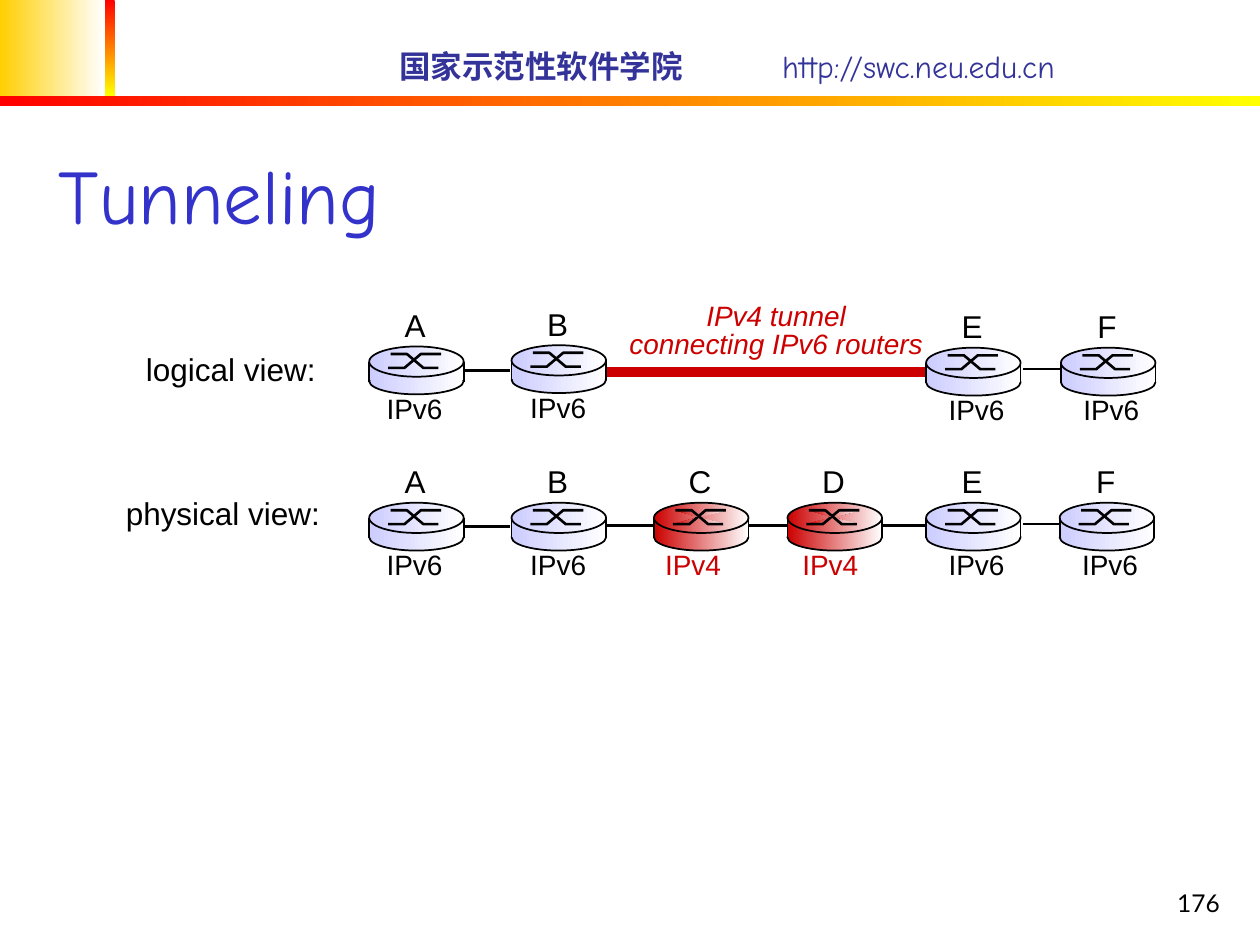
from lxml import etree
from pptx import Presentation
from pptx.dml.color import RGBColor
from pptx.enum import shapes, text
from pptx.oxml.ns import qn
from pptx.util import Inches, Pt

# Theme
THEME = dict(
    navy="333399", blue="3333CC", red="CC0000", pale="CCCCFF", gold="FFCF01",
    hot="FF0000", sun="FFFF00", white="FFFFFF", black="000000",
    sans="Arial", hand="Comic Neue", page="Lato",
    title=44, body=18, small=16, foot=14, thin=1, thick=1.5)

# Content: routers are (name, left, top, protocol, label shift)
LOGIC = [("A", 2.93, 2.75, "IPv6", -0.01), ("B", 4.06, 2.74, "IPv6", 0),
         ("E", 7.35, 2.76, "IPv6", 0.03), ("F", 8.42, 2.76, "IPv6", 0.03)]
PHYS = [("A", 2.93, 3.99, "IPv6", -0.01), ("B", 4.06, 3.99, "IPv6", 0),
        ("C", 5.19, 3.99, "IPv4", -0.06), ("D", 6.25, 3.99, "IPv4", -0.03),
        ("E", 7.35, 3.99, "IPv6", 0.03), ("F", 8.41, 3.99, "IPv6", 0.03)]
# Links are (left, right, height on the slide)
LINKS = [(3.69, 4.05, 2.94), (8.12, 8.48, 2.93),
         (3.69, 4.05, 4.18), (4.82, 7.36, 4.17), (8.12, 8.47, 4.16)]
VIEWS = [("logical view:", 1.06, 2.73, 1.55), ("physical view:", 0.9, 3.87, 1.74)]
TUNNEL = ["IPv4 tunnel", "connecting IPv6 routers"]
# Bands are (left, top, width, height, first, last, angle)
BANDS = [(0, 0, 0.83, 0.76, "gold", "white", 0),
         (0.83, 0, 0.08, 0.76, "hot", "sun", 270),
         (0, 0.76, 10, 0.08, "hot", "sun", 0)]
WIDE = 0.75
# Crossing strokes, relative to a router's corner
CROSS = [[(0.15, 0.17), (0.28, 0.17), (0.41, 0.06), (0.57, 0.06)],
         [(0.17, 0.06), (0.3, 0.06), (0.43, 0.17), (0.55, 0.17)]]

deck = Presentation()
deck.slide_width, deck.slide_height = Inches(10), Inches(7.5)
slide = deck.slides.add_slide(deck.slide_layouts[6])
parts = slide.shapes


def color(name):
    return RGBColor.from_string(THEME[name])


def blend(shape, first, last="white", angle=0):
    shape.fill.gradient()
    shape.fill.gradient_angle = angle
    for stop, name in zip(shape.fill.gradient_stops, (first, last)):
        stop.color.rgb = color(name)


def edge(shape, size):
    if size:
        shape.line.color.rgb = color("black")
        shape.line.width = Pt(size)
    else:
        shape.line.fill.background()


def block(kind, box, first, last="white", angle=0, line=0):
    shape = parts.add_shape(kind, *map(Inches, box))
    shape.shadow.inherit = False
    blend(shape, first, last, angle)
    edge(shape, line)
    return shape


def link(x1, y1, x2, y2, size):
    line = parts.add_connector(shapes.MSO_CONNECTOR.STRAIGHT,
                               *map(Inches, (x1, y1, x2, y2)))
    edge(line, size)
    etree.SubElement(line._element.spPr, qn("a:effectLst"))


def write(rows, box, size="body", face="sans", ink="black", align="LEFT",
          anchor="TOP", wrap=True, bold=(), italic=False, space=None, tab=None):
    """Each row is a list of runs; bold holds the indexes of bold runs."""
    frame = parts.add_textbox(*map(Inches, box)).text_frame
    frame.word_wrap = wrap
    frame.vertical_anchor = text.MSO_ANCHOR[anchor]
    for i, row in enumerate(rows):
        para = frame.add_paragraph() if i else frame.paragraphs[0]
        para.alignment = text.PP_ALIGN[align]
        if space:
            para.line_spacing = space
        if tab:
            tabs = etree.SubElement(para._p.get_or_add_pPr(), qn("a:tabLst"))
            etree.SubElement(tabs, qn("a:tab"), pos=str(Inches(tab)), algn="l")
        for j, words in enumerate(row):
            run = para.add_run()
            run.text = words
            font = run.font
            font.name, font.size = THEME[face], Pt(THEME[size])
            font.bold, font.italic = j in bold, italic
            font.color.rgb = color(ink)


def router(name, x, y, proto, shift):
    old = proto == "IPv4"
    tint = "red" if old else "pale"
    oval, rect = shapes.MSO_SHAPE.OVAL, shapes.MSO_SHAPE.RECTANGLE
    # Body: base, side and lid
    block(oval, (x, y + 0.17, WIDE, 0.21), tint, line=THEME["thin"])
    block(rect, (x, y + 0.14, WIDE, 0.13), tint)
    block(oval, (x, y, WIDE, 0.24), tint, line=THEME["thin"])
    # Crossing strokes
    for path in CROSS:
        dots = [(Inches(x + a), Inches(y + b)) for a, b in path]
        pen = parts.build_freeform(*dots[0])
        pen.add_line_segments(dots[1:], close=False)
        mark = pen.convert_to_shape()
        mark.shadow.inherit = False
        if old:
            blend(mark, tint)
        else:
            mark.fill.background()
        edge(mark, THEME["thick"])
    # Side edges
    for side in (x, x + WIDE):
        link(side, y + 0.12, side, y + 0.28, THEME["thin"])
    # Name above, protocol below
    mid = x + WIDE / 2
    write([[name]], (mid - 0.2, y - 0.37, 0.38, 0.4), align="CENTER", wrap=False)
    write([[proto]], (mid + shift - 0.33, y + 0.31, 0.65, 0.37), size="small",
          ink="red" if old else "black", align="CENTER", wrap=False)


# Header, title and page number
for *box, first, last, angle in BANDS:
    block(shapes.MSO_SHAPE.RECTANGLE, box, first, last, angle)
write([["国家示范性软件学院", "\t", "http://swc.neu.edu.cn"]], (3.07, 0.32, 6.93, 0.4),
      face="hand", ink="navy", anchor="MIDDLE", bold=(0,), tab=3.04)
write([["Tunneling"]], (0.37, 0.87, 8.5, 1.08), size="title", face="hand",
      ink="blue", anchor="BOTTOM")
write([["176"]], (7.7, 6.83, 2.08, 0.5), size="foot", face="page",
      align="RIGHT", anchor="BOTTOM")

# Links and tunnel
for left, right, y in LINKS:
    link(left, y, right, y, THEME["thick"])
pipe = parts.add_shape(shapes.MSO_SHAPE.RECTANGLE,
                       *map(Inches, (4.77, 2.92, 2.63, 0.07)))
pipe.shadow.inherit = False
pipe.fill.solid()
pipe.fill.fore_color.rgb = pipe.line.color.rgb = color("red")
pipe.line.width = Pt(0.75)
write([[row] for row in TUNNEL], (4.89, 2.36, 2.54, 0.56), size="small",
      ink="red", align="CENTER", italic=True, space=0.85)

# Routers and view names
for item in LOGIC + PHYS:
    router(*item)
for words, x, y, wide in VIEWS:
    write([[words]], (x, y, wide, 0.4), wrap=False)

deck.save("out.pptx")
